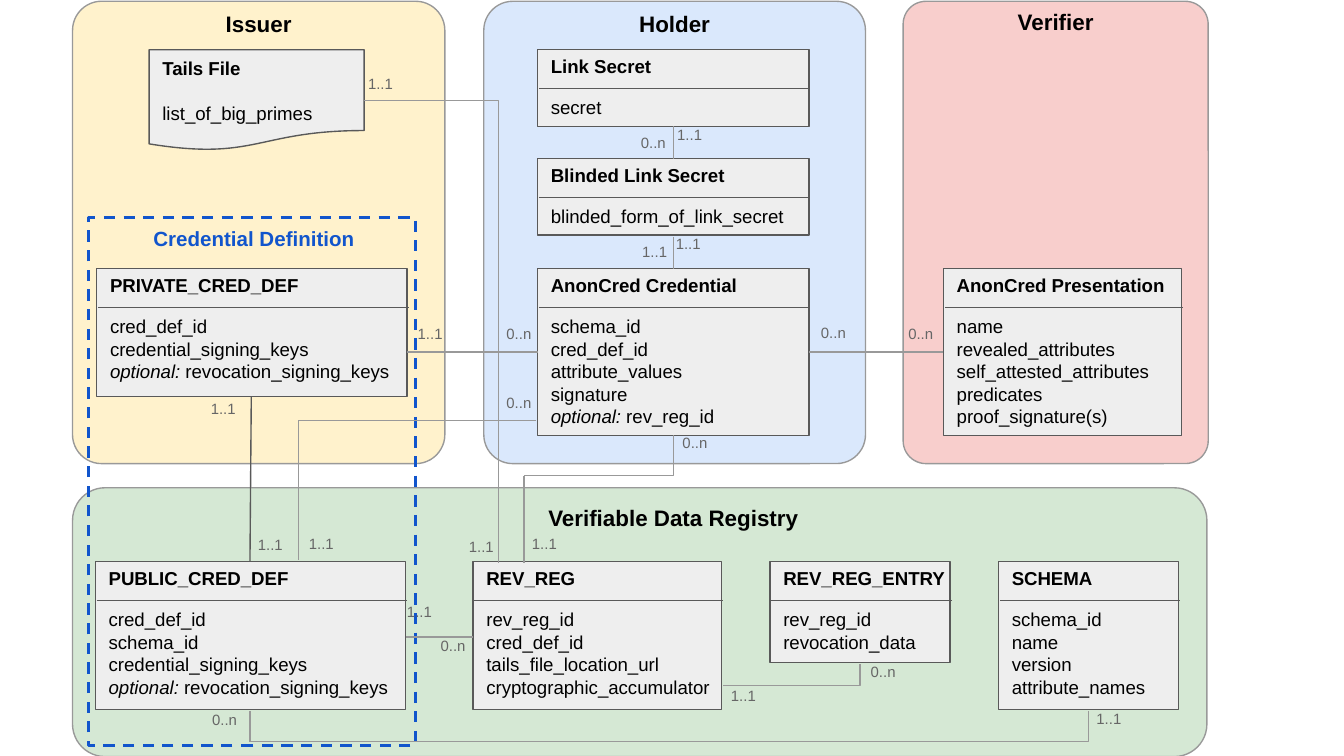
from lxml.etree import SubElement
from pptx import Presentation
from pptx.dml.color import RGBColor as RGB
from pptx.enum.dml import MSO_LINE
from pptx.enum.shapes import MSO_CONNECTOR as LINK, MSO_SHAPE as SHAPE
from pptx.enum.text import MSO_ANCHOR as ANCHOR, PP_ALIGN as ALIGN
from pptx.oxml.ns import qn
from pptx.util import Pt

PX = 9144  # 100 px to the inch
WIDE = 1000 * PX
FONT = "Arial"
BLACK, DARK = RGB(0, 0, 0), RGB(0x59, 0x59, 0x59)
GREY, LABEL = RGB(0x99, 0x99, 0x99), RGB(0x66, 0x66, 0x66)
CARD, BLUE = RGB(0xEE, 0xEE, 0xEE), RGB(0x11, 0x55, 0xCC)
YELLOW, SKY = RGB(0xFF, 0xF2, 0xCC), RGB(0xDA, 0xE8, 0xFC)
PINK, GREEN = RGB(0xF8, 0xCE, 0xCC), RGB(0xD5, 0xE8, 0xD4)
HEAD = 29  # height of a card's heading

# title, box, corner, fill, insets
ZONES = [
    ("Issuer", (54, 1, 277, 344), 0.078, YELLOW, (10, 0, 10, 5)),
    ("Holder", (360, 1, 284, 344), 0.076, SKY, (10, 0, 10, 5)),
    ("Verifier", (672, 1, 227, 344), 0.075, PINK, (10, 0, 10, 5)),
    ("Verifiable Data Registry", (54, 363, 844, 200), 0.121, GREEN,
     (60, 5, 10, 5)),
]
# title, box, fields; a field may start with an italic word
CARDS = [
    ("PRIVATE_CRED_DEF", (72, 200, 231, 95),
     ["cred_def_id", "credential_signing_keys",
      "optional: revocation_signing_keys"]),
    ("Link Secret", (400, 37, 202, 57), ["secret"]),
    ("Blinded Link Secret", (400, 118, 202, 57),
     ["blinded_form_of_link_secret"]),
    ("AnonCred Credential", (400, 200, 202, 124),
     ["schema_id", "cred_def_id", "attribute_values", "signature",
      "optional: rev_reg_id"]),
    ("AnonCred Presentation", (702, 200, 177, 124),
     ["name", "revealed_attributes", "self_attested_attributes",
      "predicates", "proof_signature(s)"]),
    ("PUBLIC_CRED_DEF", (71, 418, 231, 110),
     ["cred_def_id", "schema_id", "credential_signing_keys",
      "optional: revocation_signing_keys"]),
    ("REV_REG", (352, 418, 185, 110),
     ["rev_reg_id", "cred_def_id", "tails_file_location_url",
      "cryptographic_accumulator"]),
    ("REV_REG_ENTRY", (573, 418, 134, 75), ["rev_reg_id", "revocation_data"]),
    ("SCHEMA", (743, 418, 134, 110),
     ["schema_id", "name", "version", "attribute_names"]),
]
TAILS = ("Tails File", (111, 37, 160, 75), "list_of_big_primes")
GROUP = ("Credential Definition", (66, 162, 243, 393), (63, 159, 252, 39))

# from, to
LINES = [
    ((352, 474), (302, 474)), ((303, 262), (400, 262)),
    ((602, 262), (702, 262)), ((501, 118), (501, 94)),
    ((501, 176), (501, 200)), ((390, 354), (390, 419)),
    ((186, 529), (186, 552)),
]
# from, to: across first, then up or down
ELBOWS = [
    ((271, 75), (371, 419)), ((538, 510), (640, 494)),
    ((186, 552), (810, 529)), ((390, 354), (501, 324)),
    ((399, 313), (222, 417)),
]
# left and top of each label
COUNTS = {
    "1..1": [(264, 49), (339, 393), (386, 391), (468, 174), (493, 168),
             (494, 87), (806, 521), (182, 392), (220, 391), (147, 291),
             (293, 442), (534, 504), (301, 235)],
    "0..n": [(498, 316), (367, 235), (367, 286), (601, 234), (638, 486),
             (467, 93), (666, 235), (148, 522), (318, 467)],
}

deck = Presentation()
deck.slide_width, deck.slide_height = WIDE, WIDE * 9 // 16
slide = deck.slides.add_slide(deck.slide_layouts[6])
shapes = slide.shapes


def scale(nums):
    return [n * PX for n in nums]


def write(shape, rows, pad=(10, 10, 10, 10), anchor=ANCHOR.TOP,
          align=ALIGN.LEFT, size=10, color=BLACK, bold=True, gap=10):
    """Fill a shape with a first row, bold if asked, and plain rows below."""
    frame = shape.text_frame
    frame.word_wrap, frame.vertical_anchor = True, anchor
    (frame.margin_left, frame.margin_top,
     frame.margin_right, frame.margin_bottom) = scale(pad)
    for i, row in enumerate(rows):
        para = frame.add_paragraph() if i else frame.paragraphs[0]
        para.alignment = align
        if i == 1:
            para.space_before = Pt(gap)
        lead, mark, rest = row.rpartition(":")
        for text, slant in ((lead + mark, True), (rest, False)):
            if text:
                run = para.add_run()
                run.text = text
                font = run.font
                font.name, font.size = FONT, Pt(size)
                font.bold, font.italic = bold and i == 0, slant
                font.color.rgb = color


def block(kind, box, fill, line, width=0.75):
    shape = shapes.add_shape(kind, *scale(box))
    shape.shadow.inherit = False
    if fill is None:
        shape.fill.background()
    else:
        shape.fill.solid()
        shape.fill.fore_color.rgb = fill
    shape.line.color.rgb, shape.line.width = line, Pt(width)
    return shape


def link(start, end, color=GREY, elbow=False):
    kind = LINK.ELBOW if elbow else LINK.STRAIGHT
    wire = shapes.add_connector(kind, *scale(start + end))
    wire.line.color.rgb, wire.line.width = color, Pt(0.75)
    props = wire._element.spPr
    SubElement(props, qn("a:effectLst"))
    if elbow:
        props.find(qn("a:prstGeom")).set("prst", "bentConnector2")


for title, box, corner, fill, pad in ZONES:
    zone = block(SHAPE.ROUNDED_RECTANGLE, box, fill, GREY)
    zone.adjustments[0] = corner
    write(zone, [title], pad=pad, align=ALIGN.CENTER, size=12)

for title, box, fields in CARDS:
    write(block(SHAPE.RECTANGLE, box, CARD, DARK), [title, *fields],
          pad=(10, 4, 0, 4))
    left, top, width, _ = box
    link((left + 1, top + HEAD), (left + width + 1, top + HEAD), DARK)

title, box, spot = GROUP
frame = block(SHAPE.RECTANGLE, box, None, BLUE, 1.5)
frame.line.dash_style = MSO_LINE.DASH
write(shapes.add_textbox(*scale(spot)), [title], align=ALIGN.CENTER,
      size=11, color=BLUE)

title, box, field = TAILS
write(block(SHAPE.FLOWCHART_DOCUMENT, box, CARD, DARK), [title, field],
      anchor=ANCHOR.MIDDLE, gap=12)

for start, end in LINES:
    link(start, end)
for start, end in ELBOWS:
    link(start, end, elbow=True)
link((187, 295), (186, 418), DARK)

for count, spots in COUNTS.items():
    for spot in spots:
        write(shapes.add_textbox(*scale(spot + (46, 34))), [count],
              size=8, color=LABEL, bold=False)

deck.save("out.pptx")
